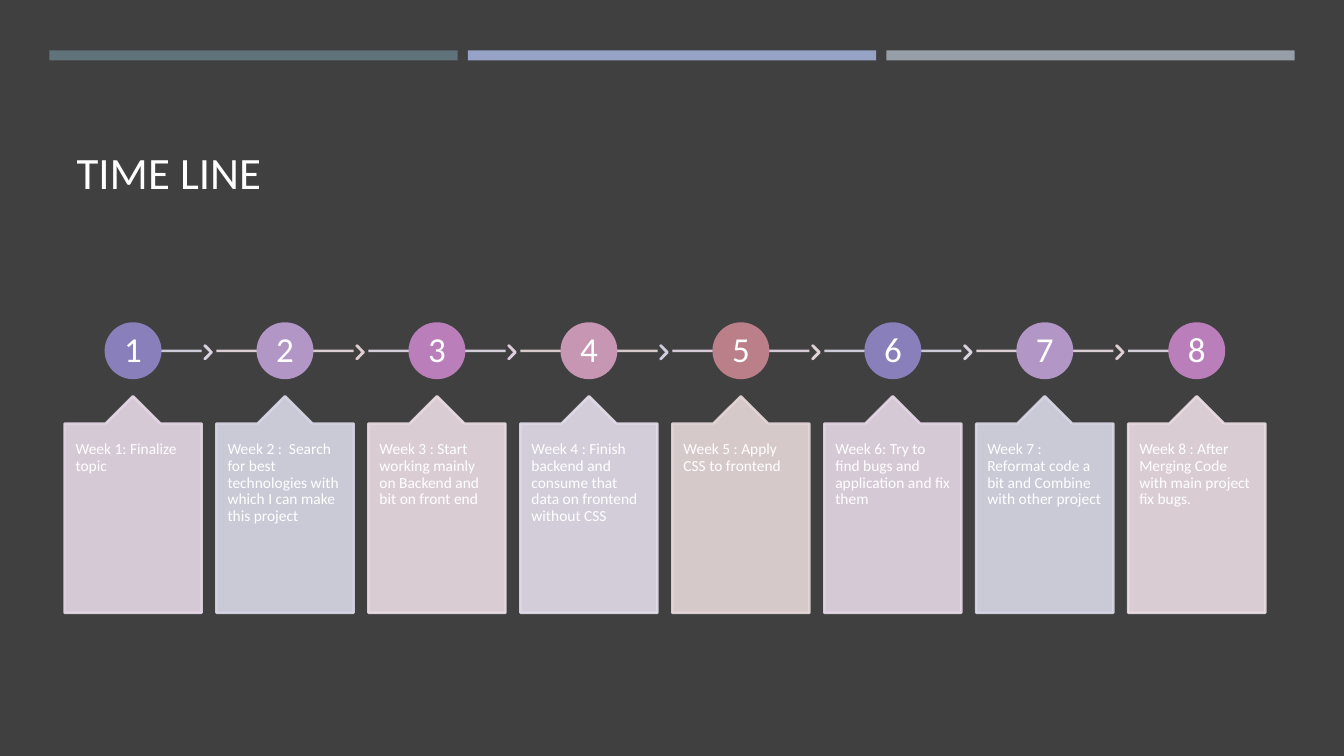
from dataclasses import dataclass
from lxml.etree import SubElement
from pptx import Presentation
from pptx.dml.color import RGBColor as Rgb
from pptx.enum.shapes import MSO_CONNECTOR as Conn, MSO_SHAPE as Kind
from pptx.enum.text import MSO_ANCHOR as Anchor, MSO_AUTO_SIZE as Fit, PP_ALIGN as Align
from pptx.oxml.ns import qn
from pptx.util import Pt

TITLE = "TIME LINE"
WEEKS = [
    "Week 1: Finalize topic",
    "Week 2 :  Search for best technologies with which I can make this project",
    "Week 3 : Start working mainly on Backend and bit on front end",
    "Week 4 : Finish backend and consume that data on frontend without CSS",
    "Week 5 : Apply CSS to frontend",
    "Week 6: Try to find bugs and application and fix them",
    "Week 7 : Reformat code a bit and Combine with other project",
    "Week 8 : After Merging Code with main project fix bugs.",
]


@dataclass(frozen=True)
class Theme:
    back: str = "404040"
    ink: str = "FFFFFF"
    bars: tuple = ("60727A", "96A2C6", "969FA7")
    dots: tuple = ("897FBA", "B296C6", "BA7FBA", "C696B2", "BA7F89")
    tints: tuple = ("E7D8E7", "DAD8E7", "EADDE4", "E4DDEA", "E7D8DA")
    alpha: int = 90
    font: str = "Calibri"
    head: int = 32
    digit: int = 25
    body: int = 11
    line: float = 1.75


theme = Theme()
SCALE = 9144
LEFT, LAST, WIDE = 64, 1119, 136
AXIS, DOT = 348, 54
CARD_TOP, CARD_TALL = 393, 215
BAR_LEFT, BAR_TOP, BAR_WIDE, BAR_TALL, BAR_STEP = 49, 50, 405, 10, 415
PITCH = (LAST - LEFT) / (len(WEEKS) - 1)


def px(*vals):
    return [round(val * SCALE) for val in vals]


def pick(hues, pos):
    return hues[pos % len(hues)]


def fade(item):
    for hue in item._element.spPr.iter(qn("a:srgbClr")):
        SubElement(hue, qn("a:alpha"), val=str(theme.alpha * 1000))


def edge(item, hue):
    item.line.color.rgb = Rgb.from_string(hue)
    item.line.width = Pt(theme.line)


def shape(kind, box, hue, lined=True):
    item = slide.shapes.add_shape(kind, *px(*box))
    item.shadow.inherit = False
    item.fill.solid()
    item.fill.fore_color.rgb = Rgb.from_string(hue)
    if lined:
        edge(item, hue)
    else:
        item.line.fill.background()
    return item


def write(item, text, size, pads, anchor, align, space=None):
    frame = item.text_frame
    frame.word_wrap = True
    frame.auto_size = Fit.NONE
    frame.vertical_anchor = anchor
    (frame.margin_left, frame.margin_top,
     frame.margin_right, frame.margin_bottom) = px(*pads)
    para = frame.paragraphs[0]
    para.alignment = align
    if space:
        para.line_spacing = space
    run = para.add_run()
    run.text = text
    run.font.size = Pt(size)
    run.font.name = theme.font
    run.font.color.rgb = Rgb.from_string(theme.ink)


def rule(start, end, hue):
    item = slide.shapes.add_connector(Conn.STRAIGHT, *px(start, AXIS, end, AXIS))
    edge(item, hue)
    fade(item)
    SubElement(item._element.spPr, qn("a:effectLst"))


def week(pos, text):
    left = LEFT + pos * PITCH
    mid = left + WIDE / 2
    final = pos == len(WEEKS) - 1
    rule(left if pos else mid, mid if final else left + WIDE,
         pick(theme.tints, pos + 1))
    if not final:
        tip = shape(Kind.CHEVRON, (left + WIDE + 3, AXIS - 5, 7, 13),
                    pick(theme.tints, pos + 3))
        tip.adjustments[0] = 0.9
        fade(tip)
    dot = shape(Kind.OVAL, (mid - DOT / 2, AXIS - DOT / 2, DOT, DOT),
                pick(theme.dots, pos))
    write(dot, str(pos + 1), theme.digit, (2, 2, 2, 2),
          Anchor.MIDDLE, Align.CENTER, 0.9)
    card = shape(Kind.UP_ARROW_CALLOUT, (left, CARD_TOP, WIDE, CARD_TALL),
                 pick(theme.tints, pos))
    for spot, val in enumerate((0.5, 0.2, 0.2, 1)):
        card.adjustments[spot] = val
    fade(card)
    write(card, text, theme.body, (11, 18, 11, 18), Anchor.TOP, Align.LEFT, 0.9)


deck = Presentation()
deck.slide_width, deck.slide_height = px(1333, 750)
slide = deck.slides.add_slide(deck.slide_layouts[5])
slide.background.fill.solid()
slide.background.fill.fore_color.rgb = Rgb.from_string(theme.back)

title = slide.shapes.title
title.left, title.top, title.width, title.height = px(64, 77, 1206, 130)
write(title, TITLE, theme.head, (12, 12, 12, 10), Anchor.BOTTOM, Align.LEFT)

for pos, hue in enumerate(theme.bars):
    shape(Kind.RECTANGLE, (BAR_LEFT + pos * BAR_STEP, BAR_TOP, BAR_WIDE, BAR_TALL),
          hue, lined=False)
for pos, text in enumerate(WEEKS):
    week(pos, text)

deck.save("out.pptx")
